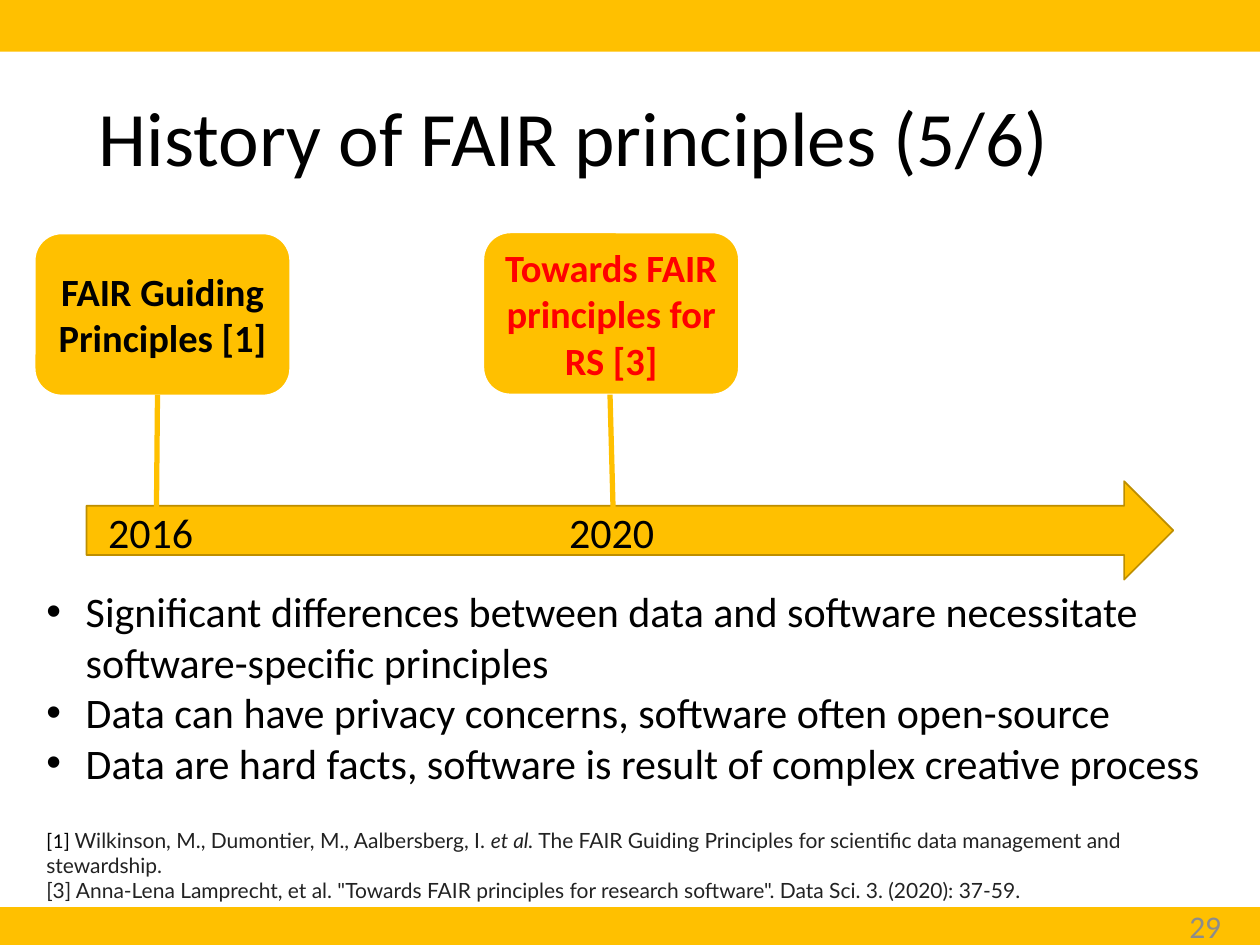
from lxml import etree
from pptx import Presentation
from pptx.dml.color import RGBColor
from pptx.enum.shapes import MSO_CONNECTOR, MSO_SHAPE
from pptx.enum.text import MSO_ANCHOR, PP_ALIGN
from pptx.oxml.ns import qn
from pptx.util import Pt

RECT = MSO_SHAPE.RECTANGLE
ROUNDED = MSO_SHAPE.ROUNDED_RECTANGLE
ARROW = MSO_SHAPE.RIGHT_ARROW
STRAIGHT = MSO_CONNECTOR.STRAIGHT
TOP, MIDDLE = MSO_ANCHOR.TOP, MSO_ANCHOR.MIDDLE
LEFT, CENTER, RIGHT = PP_ALIGN.LEFT, PP_ALIGN.CENTER, PP_ALIGN.RIGHT

COLORS = {
    "gold": "FFC000",
    "bronze": "BD8E00",
    "white": "FFFFFF",
    "black": "000000",
    "ink": "222222",
    "red": "FF0000",
    "gray": "8C8C8C",
}


class SlideBuilder:
    def __init__(self, slide, font="Calibri"):
        self.slide = slide
        self.font = font

    def color(self, name):
        return RGBColor.from_string(COLORS[name])

    def fill_text(self, frame, paragraphs, size, color="black", align=LEFT,
                  anchor=TOP, inset=(7.2, 3.6), spacing=None,
                  bullet_indent=None, **font_format):
        horizontal, vertical = map(Pt, inset)
        frame_format = {
            "word_wrap": True,
            "vertical_anchor": anchor,
            "margin_left": horizontal,
            "margin_right": horizontal,
            "margin_top": vertical,
            "margin_bottom": vertical,
        }
        for name, value in frame_format.items():
            setattr(frame, name, value)
        for index, content in enumerate(paragraphs):
            paragraph = frame.add_paragraph() if index else frame.paragraphs[0]
            paragraph.alignment = align
            if spacing:
                paragraph.line_spacing = spacing
            if bullet_indent:
                self.bullet(paragraph, bullet_indent)
            runs = [(content, {})] if isinstance(content, str) else content
            for text, changes in runs:
                run = paragraph.add_run()
                run.text = text
                style = {"name": self.font, "size": Pt(size), "color": color,
                         **font_format, **changes}
                run.font.color.rgb = self.color(style.pop("color"))
                for name, value in style.items():
                    setattr(run.font, name, value)

    def bullet(self, paragraph, indent):
        properties = paragraph._p.get_or_add_pPr()
        properties.set("marL", str(Pt(indent)))
        properties.set("indent", str(-Pt(indent)))
        etree.SubElement(properties, qn("a:buFont")).set("typeface", "Arial")
        etree.SubElement(properties, qn("a:buChar")).set("char", "•")

    def shape(self, kind, box, outline=None):
        shape = self.slide.shapes.add_shape(kind, *map(Pt, box))
        shape.shadow.inherit = False
        shape.fill.solid()
        shape.fill.fore_color.rgb = self.color("gold")
        if outline:
            shape.line.color.rgb = self.color(outline)
            shape.line.width = Pt(1)
        else:
            shape.line.fill.background()
        return shape

    def text(self, box, paragraphs, size, **text_format):
        frame = self.slide.shapes.add_textbox(*map(Pt, box)).text_frame
        self.fill_text(frame, paragraphs, size, **text_format)

    def card(self, box, label, color):
        card = self.shape(ROUNDED, box, "white")
        self.fill_text(card.text_frame, [label], 22, color=color, align=CENTER,
                       anchor=MIDDLE, inset=(7.2, 7.2), bold=True)

    def stem(self, start, end):
        stem = self.slide.shapes.add_connector(STRAIGHT, *map(Pt, start + end))
        stem.line.color.rgb = self.color("gold")
        stem.line.width = Pt(3)
        etree.SubElement(stem._element.spPr, qn("a:effectLst"))


def main():
    deck = Presentation()
    deck.slide_width, deck.slide_height = Pt(720), Pt(540)
    builder = SlideBuilder(deck.slides.add_slide(deck.slide_layouts[6]))

    builder.shape(RECT, (0, 0, 720, 29.5))
    builder.shape(RECT, (0, 518.4, 720, 21.6))
    builder.text((49.5, 28.8, 621, 104.4), ["History of FAIR principles (5/6)"],
                 44, anchor=MIDDLE, spacing=0.9)
    builder.shape(ARROW, (49.5, 275, 621, 56.2), "bronze")

    milestones = [
        ("FAIR Guiding Principles [1]", "black", (19.8, 133.4),
         (90, 225.5), (89.4, 293.5), "2016", (54.7, 75.6)),
        ("Towards FAIR principles for RS [3]", "red", (276.2, 132.8),
         (348.6, 225.5), (350.4, 293.2), "2020", (318.2, 64.8)),
    ]
    for label, color, corner, start, end, year, (year_left, width) in milestones:
        builder.card(corner + (146, 92.6), label, color)
        builder.stem(start, end)
        builder.text((year_left, 286, width, 36), [year], 24)

    differences = [
        "Significant differences between data and software necessitate "
        "software-specific principles",
        "Data can have privacy concerns, software often open-source",
        "Data are hard facts, software is result of complex creative process",
    ]
    builder.text((19.4, 331.2, 677.5, 123.8), differences, 24, bullet_indent=22.5)

    references = [
        [("[1] ", {"name": "Calibri", "color": "black"}),
         ("Wilkinson, M., Dumontier, M., Aalbersberg, I. ", {}),
         ("et al.", {"italic": True}),
         (" The FAIR Guiding Principles for scientific data management and "
          "stewardship. ", {})],
        '[3] Anna-Lena Lamprecht, et al. "Towards FAIR principles for research '
        'software". Data Sci. 3. (2020): 37-59.',
    ]
    builder.text((19.4, 469.4, 677.5, 36), references, 12, color="ink", name="Lato")
    builder.text((542.9, 514.8, 162, 28.8), ["29"], 18, color="gray",
                 align=RIGHT, anchor=MIDDLE)

    deck.save("out.pptx")


if __name__ == "__main__":
    main()
